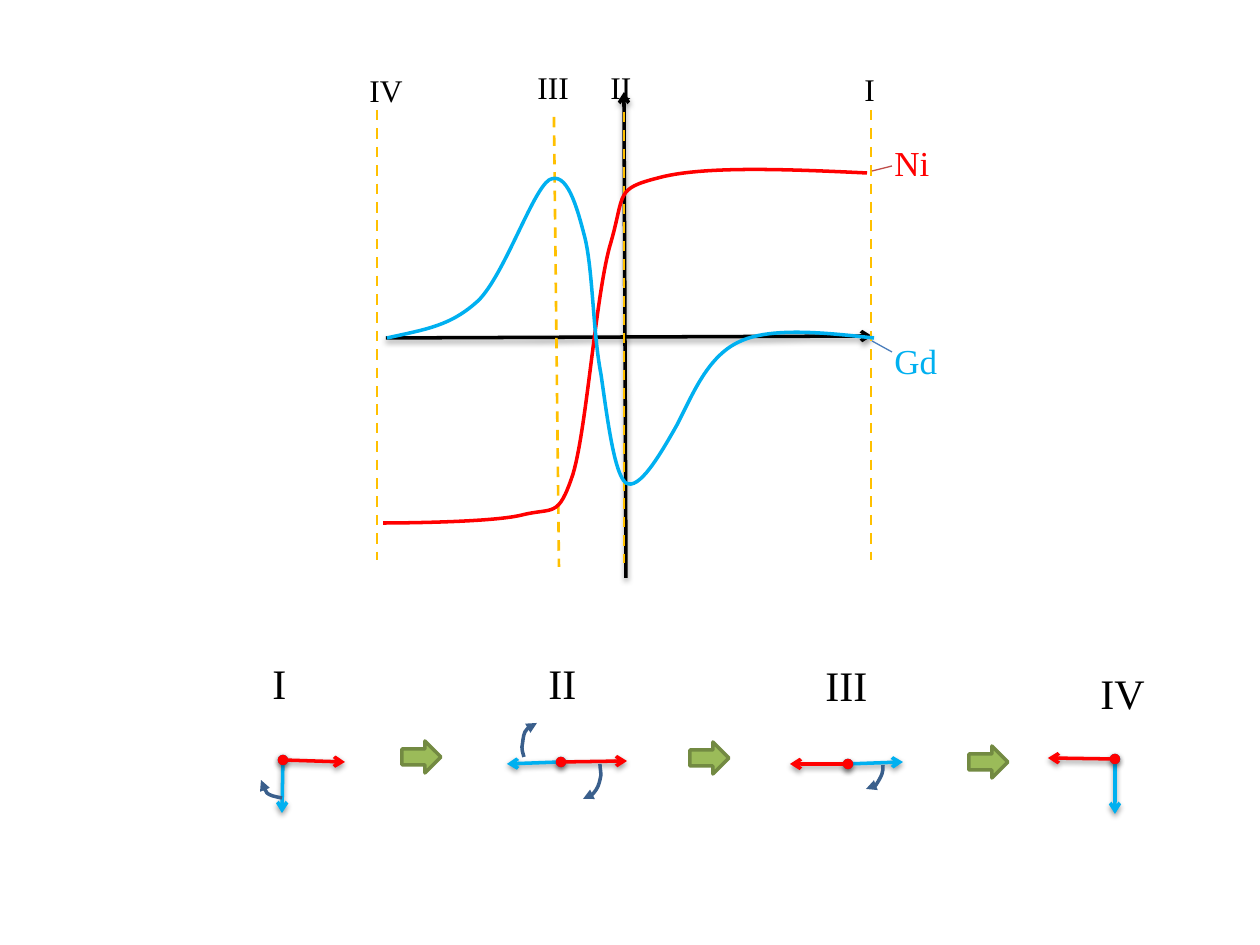
"""Build the Ni and Gd magnetisation slide with its four spin states."""
import lxml.etree
import pptx
import pptx.dml.color
import pptx.enum.dml
import pptx.enum.shapes
import pptx.enum.text
import pptx.oxml
import pptx.oxml.ns
import pptx.util

PX = 914400 // 126
FONT = "Times New Roman"
COLORS = {"ink": "000000", "ni": "FF0000", "gd": "00B0F0", "guide": "FFC000",
          "ni_leader": "BF4C48", "gd_leader": "4B7EBC", "turn": "3A5F8C",
          "step": "9BBB59", "step_edge": "738A42"}

AXES = [(386, 338, 872, 336), (626, 578, 624, 92)]
GUIDES = [(554, 117, 559, 567), (624, 112, 624, 563),
          (871, 110, 871, 560), (377, 110, 377, 560)]
LEADERS = [((892, 352, 872, 341), "gd_leader"), ((892, 166, 872, 171), "ni_leader")]
PLOT_LABELS = [("I", 852, 64, 31, 38, 18, "ink"), ("III", 525, 62, 58, 50, 18, "ink"),
               ("IV", 357, 65, 62, 50, 18, "ink"), ("II", 598, 62, 47, 38, 18, "ink"),
               ("Gd", 882, 333, 84, 55, 20, "gd"), ("Ni", 882, 135, 84, 55, 20, "ni")]
CURVES = [
    ("ni", [(867, 173), (784, 169), (701, 166), (658, 178), (615, 189), (625, 193),
            (611, 242), (596, 291), (587, 427), (573, 474), (558, 519), (554, 507),
            (522, 515), (490, 523), (383, 523), (383, 523)]),
    ("gd", [(874, 338), (835, 334), (774, 326), (741, 341), (708, 355), (693, 394),
            (677, 425), (660, 455), (639, 491), (626, 483), (614, 474), (607, 415),
            (601, 374), (593, 333), (593, 271), (585, 238), (577, 207), (567, 170),
            (549, 180), (532, 192), (505, 273), (479, 300), (451, 326), (427, 329),
            (387, 338)]),
]
STATES = [
    {"label": ("I", 260, 651, 38, 63), "origin": (283, 760),
     "gd": (282, 813), "ni": (345, 762),
     "turns": [[(282, 798), (278, 797), (276, 797), (273, 796), (270, 795),
                (268, 794), (267, 793), (265, 789), (260, 784), (261, 780)]]},
    {"label": ("II", 536, 651, 58, 63), "origin": (561, 762),
     "gd": (507, 764), "ni": (627, 761),
     "turns": [[(600, 764), (600, 769), (601, 771), (601, 775), (600, 780),
                (599, 786), (596, 790), (593, 794), (590, 798), (583, 799)],
               [(524, 757), (523, 753), (522, 751), (522, 747), (523, 742),
                (523, 736), (525, 732), (528, 728), (530, 725), (537, 723)]]},
    {"label": ("III", 813, 653, 79, 63), "origin": (848, 764),
     "gd": (903, 762), "ni": (790, 764),
     "turns": [[(883, 765), (883, 769), (883, 771), (882, 774), (881, 777),
                (878, 782), (876, 785), (873, 788), (869, 789), (866, 789)]]},
    {"label": ("IV", 1088, 661, 78, 63), "origin": (1115, 759),
     "gd": (1115, 814), "ni": (1048, 758), "turns": []},
]
STEPS = [(402, 741), (690, 742), (969, 746)]
STEP_SIZE = (39, 32)
SHADOW = ('<a:effectLst %s><a:outerShdw blurRad="40000" dist="20000" dir="5400000" '
          'rotWithShape="0"><a:srgbClr val="000000"><a:alpha val="38000"/></a:srgbClr>'
          '</a:outerShdw></a:effectLst>' % pptx.oxml.ns.nsdecls("a"))
NO_SHADOW = "<a:effectLst %s/>" % pptx.oxml.ns.nsdecls("a")


def rgb(name):
    return pptx.dml.color.RGBColor.from_string(COLORS[name])


def stroke(shape, color, width=2, head=None, tail=None):
    shape.line.color.rgb = rgb(color)
    shape.line.width = pptx.util.Pt(width)
    for tag, kind in (("a:headEnd", head), ("a:tailEnd", tail)):
        if kind:
            end = lxml.etree.SubElement(shape.line._get_or_add_ln(), pptx.oxml.ns.qn(tag))
            end.set("type", kind)


def add_line(shapes, ends, color, width=2, head=None, tail=None, dashed=False, shadow=False):
    line = shapes.add_connector(pptx.enum.shapes.MSO_CONNECTOR.STRAIGHT,
                                *(value * PX for value in ends))
    if dashed:
        line.line.dash_style = pptx.enum.dml.MSO_LINE.DASH
    stroke(line, color, width, head, tail)
    line._element.spPr.append(pptx.oxml.parse_xml(SHADOW if shadow else NO_SHADOW))


def bend(curve):
    """Turn each three straight segments into one cubic Bézier segment."""
    segments = list(curve._element.iter(pptx.oxml.ns.qn("a:lnTo")))
    for i in range(0, len(segments), 3):
        cubic = lxml.etree.Element(pptx.oxml.ns.qn("a:cubicBezTo"))
        segments[i].addprevious(cubic)
        for segment in segments[i:i + 3]:
            cubic.append(segment[0])
            segment.getparent().remove(segment)


def add_curve(shapes, points, color, tail=None):
    builder = shapes.build_freeform(*points[0], scale=PX)
    builder.add_line_segments(points[1:], close=False)
    curve = builder.convert_to_shape()
    bend(curve)
    curve.fill.background()
    stroke(curve, color, tail=tail)
    curve.shadow.inherit = False


def add_label(shapes, text, left, top, width, height, size, color="ink"):
    label = shapes.add_textbox(left * PX, top * PX, width * PX, height * PX)
    label.text_frame.word_wrap = False
    label.text_frame.auto_size = pptx.enum.text.MSO_AUTO_SIZE.SHAPE_TO_FIT_TEXT
    paragraph = label.text_frame.paragraphs[0]
    paragraph.text = text
    paragraph.font.name = FONT
    paragraph.font.size = pptx.util.Pt(size)
    paragraph.font.color.rgb = rgb(color)


def add_plot(shapes):
    for axis in AXES:
        add_line(shapes, axis, "ink", tail="arrow", shadow=True)
    for guide in GUIDES:
        add_line(shapes, guide, "guide", 1.5, dashed=True)
    for leader, color in LEADERS:
        add_line(shapes, leader, color, 0.75)
    for label in PLOT_LABELS:
        add_label(shapes, *label)
    for color, points in CURVES:
        add_curve(shapes, points, color)


def add_state(slide, state):
    add_label(slide.shapes, *state["label"], 24)
    spins = slide.shapes.add_group_shape().shapes
    for element in ("gd", "ni"):
        add_line(spins, state["origin"] + state[element], element,
                 head="oval", tail="arrow", shadow=True)
    for turn in state["turns"]:
        add_curve(spins, turn, "turn", tail="triangle")


def add_step(shapes, left, top):
    width, height = STEP_SIZE
    step = shapes.add_shape(pptx.enum.shapes.MSO_SHAPE.RIGHT_ARROW,
                            left * PX, top * PX, width * PX, height * PX)
    step.fill.solid()
    step.fill.fore_color.rgb = rgb("step")
    stroke(step, "step_edge")
    step.shadow.inherit = False


def main():
    deck = pptx.Presentation()
    deck.slide_width, deck.slide_height = pptx.util.Inches(10), pptx.util.Inches(7.5)
    slide = deck.slides.add_slide(deck.slide_layouts[6])
    add_plot(slide.shapes.add_group_shape().shapes)
    for state in STATES:
        add_state(slide, state)
    for corner in STEPS:
        add_step(slide.shapes, *corner)
    deck.save("out.pptx")


if __name__ == "__main__":
    main()
